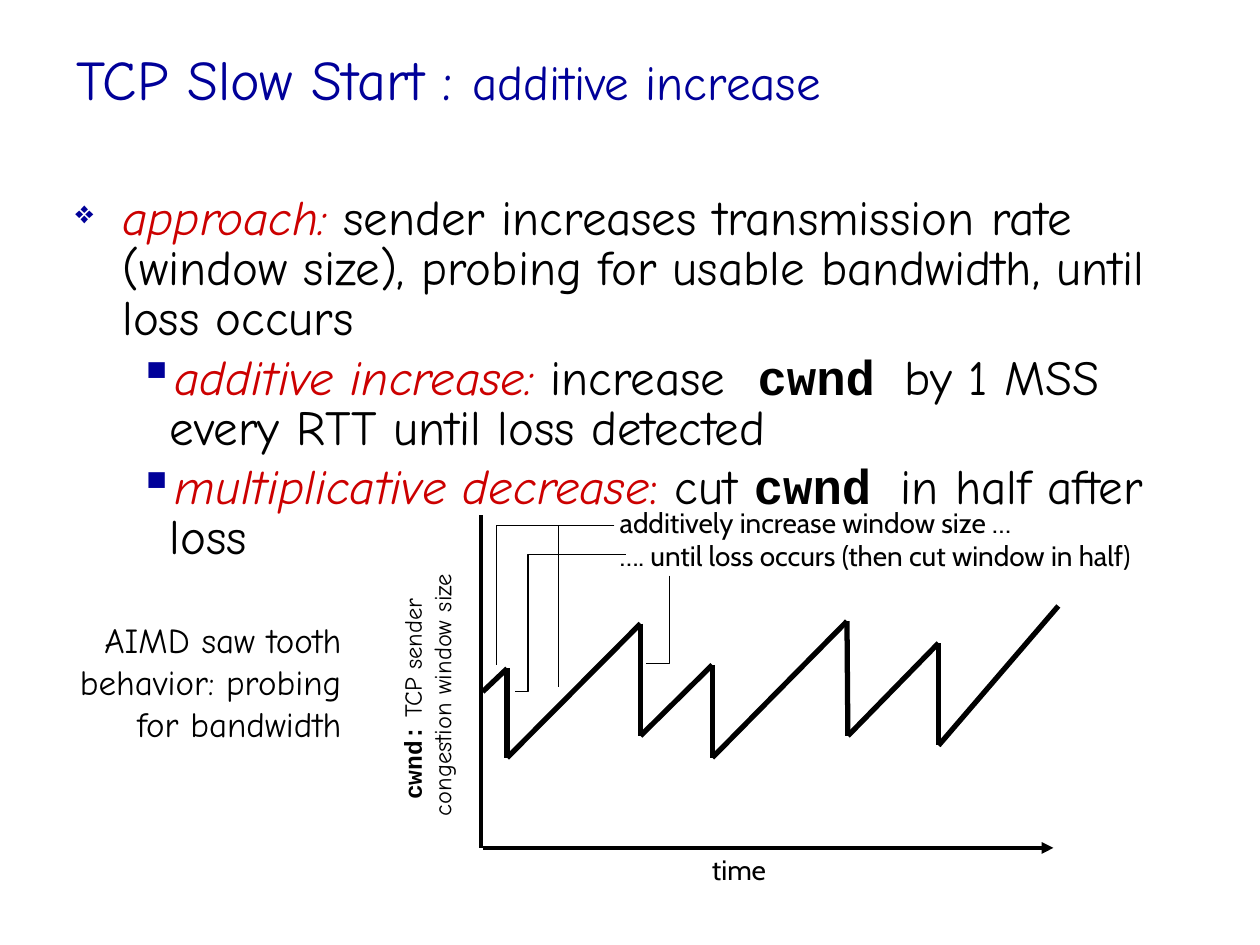
from itertools import pairwise

from lxml.etree import SubElement
from pptx import Presentation
from pptx.dml.color import RGBColor
from pptx.enum.shapes import MSO_CONNECTOR as Connector, MSO_SHAPE as Shape
from pptx.enum.text import MSO_ANCHOR as Anchor, MSO_AUTO_SIZE as AutoSize, PP_ALIGN as Align
from pptx.oxml.ns import qn
from pptx.util import Pt

BLACK, WHITE, NAVY, RED = "000000", "FFFFFF", "000099", "CC0000"
HAND, SANS, MONO = "Comic Neue", "Cabin", "Courier New"


def color(value):
    return RGBColor.from_string(value)


def run(text, size=28, font=HAND, ink=BLACK, bold=False, italic=False):
    return dict(text=text, size=size, font=font, ink=ink, bold=bold, italic=italic)


class SlideBuilder:
    """Draws styled elements on the current slide, with lengths in points."""

    def __init__(self, slide):
        self.slide = slide

    def fill_text(self, frame, paragraphs, align=Align.LEFT, spacing=None, wrap=False,
                  anchor=Anchor.TOP):
        frame.word_wrap = wrap
        frame.auto_size = AutoSize.NONE if wrap else AutoSize.SHAPE_TO_FIT_TEXT
        frame.vertical_anchor = anchor
        for index, runs in enumerate(paragraphs):
            paragraph = frame.add_paragraph() if index else frame.paragraphs[0]
            paragraph.alignment = align
            if spacing:
                paragraph.line_spacing = spacing
            for style in runs:
                piece = paragraph.add_run()
                piece.text = style["text"]
                font = piece.font
                font.size, font.name = Pt(style["size"]), style["font"]
                font.bold, font.italic = style["bold"], style["italic"]
                font.color.rgb = color(style["ink"])
        return frame

    def text(self, box, paragraphs, **layout):
        area = self.slide.shapes.add_textbox(*map(Pt, box))
        return self.fill_text(area.text_frame, paragraphs, **layout)

    def panel(self, box, paragraphs, rotation, **layout):
        area = self.slide.shapes.add_shape(Shape.RECTANGLE, *map(Pt, box))
        area.shadow.inherit = False
        area.fill.solid()
        area.fill.fore_color.rgb = color(WHITE)
        area.line.fill.background()
        area.rotation = rotation
        return self.fill_text(area.text_frame, paragraphs, **layout)

    def bullet(self, paragraph, mark, level, margin, hang, percent):
        paragraph.level = level
        paragraph.space_before = Pt(5.6)
        props = paragraph._p.get_or_add_pPr()
        props.set("marL", str(Pt(margin)))
        props.set("indent", str(-Pt(hang)))
        SubElement(SubElement(props, qn("a:buClr")), qn("a:srgbClr"), val=NAVY)
        SubElement(props, qn("a:buSzPct"), val=str(percent * 1000))
        SubElement(props, qn("a:buChar"), char=mark)

    def line(self, start, end, width, arrow=False):
        stroke = self.slide.shapes.add_connector(
            Connector.STRAIGHT, *map(Pt, (*start, *end)))
        stroke.line.width = Pt(width)
        stroke.line.color.rgb = color(BLACK)
        SubElement(stroke._element.spPr, qn("a:effectLst"))
        if arrow:
            SubElement(stroke.line._get_or_add_ln(), qn("a:tailEnd"), type="triangle")

    def leader(self, points):
        start, *rest = [tuple(map(Pt, point)) for point in points]
        builder = self.slide.shapes.build_freeform(*start)
        builder.add_line_segments(rest, close=False)
        outline = builder.convert_to_shape()
        outline.shadow.inherit = False
        outline.fill.background()
        outline.line.width = Pt(0.75)
        outline.line.color.rgb = color(BLACK)


def main():
    deck = Presentation()
    deck.slide_width, deck.slide_height = Pt(720), Pt(540)
    page = SlideBuilder(deck.slides.add_slide(deck.slide_layouts[6]))

    page.text((36.7, 15.1, 535, 66.2), [[
        run("TCP Slow Start : ", size=32, ink=NAVY), run("additive increase", ink=NAVY),
    ]], spacing=0.8, wrap=True, anchor=Anchor.MIDDLE)

    cwnd = run("cwnd ", font=MONO, bold=True)
    approach = page.text((36, 108, 659.5, 113.8), [
        [run("approach: ", ink=RED, italic=True),
         run("sender increases transmission rate (window size), "
             "probing for usable bandwidth, until loss occurs")],
        [run("additive increase:", ink=RED, italic=True), run(" increase  "), cwnd,
         run("by 1 MSS every RTT until loss detected")],
        [run("multiplicative decrease", ink=RED, italic=True), run(":", ink=RED),
         run(" cut "), cwnd, run("in half after loss")],
    ], spacing=0.85, wrap=True)
    main_point, *sub_points = approach.paragraphs
    page.bullet(main_point, "❖", level=0, margin=27, hang=27, percent=65)
    for point in sub_points:
        page.bullet(point, "▪", level=1, margin=54, hang=18, percent=100)

    page.panel((161.3, 376.6, 165.6, 41), [
        [run("cwnd:", size=14, font=MONO, bold=True), run(" TCP sender ", size=14)],
        [run("congestion window size", size=14)],
    ], rotation=270, align=Align.CENTER)
    page.text((24.5, 350, 177.8, 80), [
        [run(words, size=20)]
        for words in ("AIMD saw tooth", "behavior: probing", "for bandwidth")
    ], align=Align.RIGHT)

    page.line((275.8, 484.5), (602, 484.5), 2.25, arrow=True)
    page.line((275, 294.5), (275, 484.5), 2.25)
    sawtooth = [(275.8, 395.3), (289.8, 382), (289.8, 433), (366, 356.4),
                (366, 420.5), (407, 380), (407, 433), (484, 355),
                (484.5, 420.5), (536.3, 367.5), (536.3, 426), (604.8, 346.3)]
    for start, end in pairwise(sawtooth):
        page.line(start, end, 3)

    page.text((347, 285.1, 332.6, 46), [
        [run(words, size=16, font=SANS)]
        for words in ("additively increase window size …",
                      "…. until loss occurs (then cut window in half)")
    ])
    for points in (
        [(351, 300.2), (283.7, 300.2), (283.7, 380.2)],
        [(357.5, 316.8), (301.7, 316.8), (301.7, 395.3), (294.5, 395.3)],
        [(351, 300.2), (319, 300.2), (319, 392.4)],
        [(382.5, 329), (382.5, 379.2), (369.4, 379.2)],
    ):
        page.leader(points)
    page.text((399.6, 483.8, 45.4, 26.6), [[run("time", size=16, font=SANS)]],
              align=Align.CENTER)
    deck.save("out.pptx")


if __name__ == "__main__":
    main()
